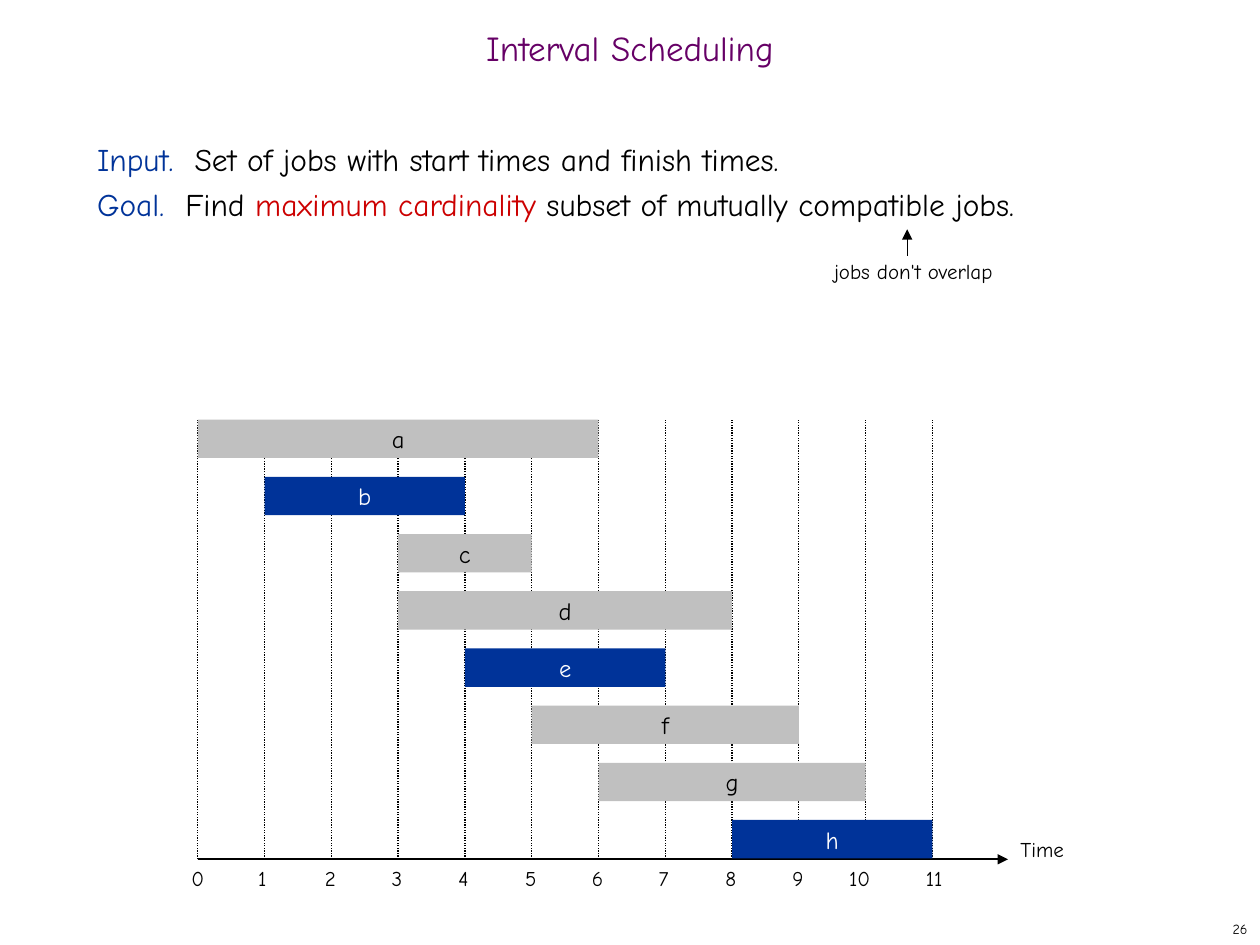
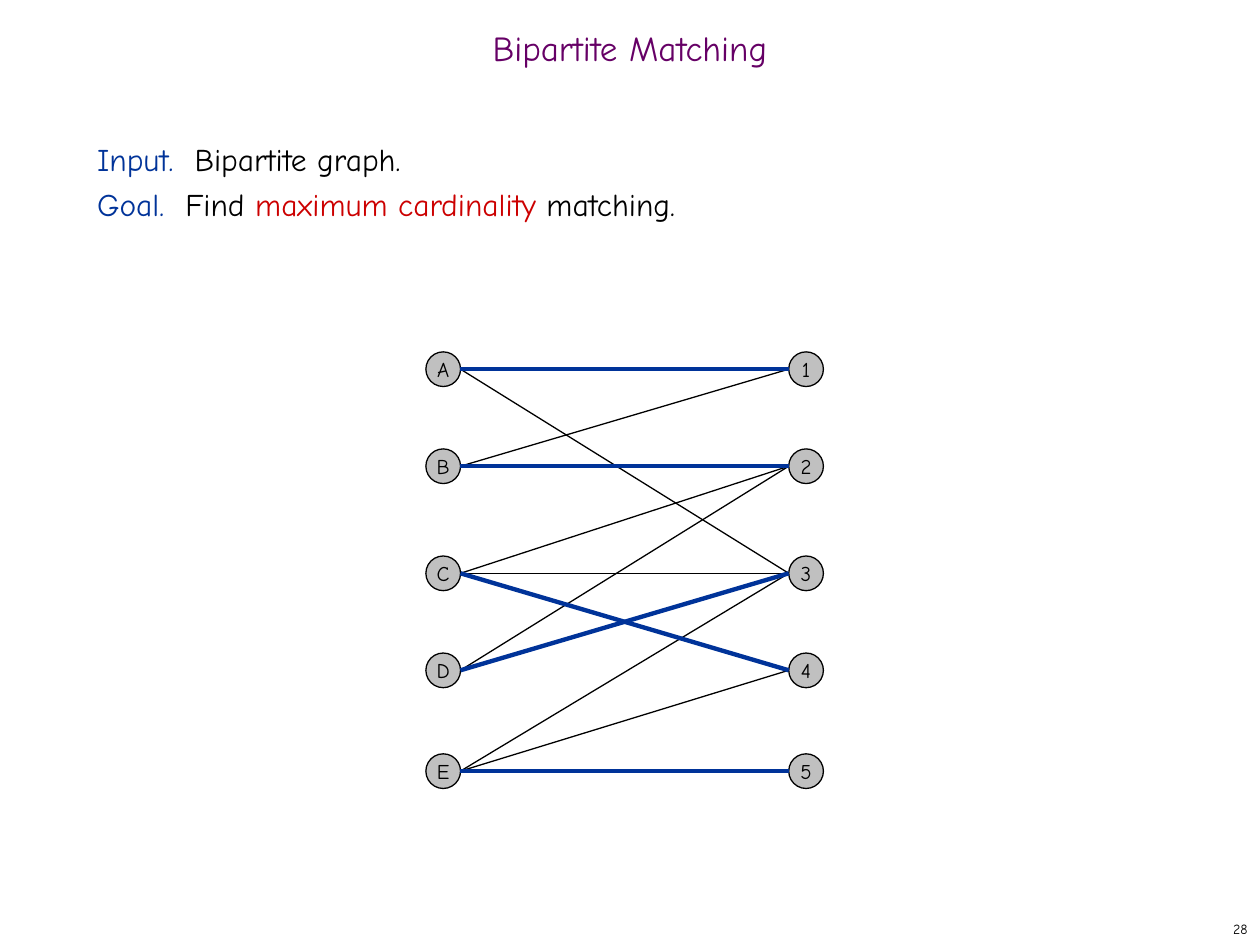
from pptx import Presentation
from pptx.dml.color import RGBColor
from pptx.enum.dml import MSO_LINE
from pptx.enum.shapes import MSO_CONNECTOR, MSO_SHAPE
from pptx.enum.text import MSO_ANCHOR, MSO_AUTO_SIZE, PP_ALIGN
from pptx.oxml.ns import qn
from pptx.util import Inches, Pt

LEFT, CENTER, RIGHT = PP_ALIGN.LEFT, PP_ALIGN.CENTER, PP_ALIGN.RIGHT
TOP, MIDDLE = MSO_ANCHOR.TOP, MSO_ANCHOR.MIDDLE
NO_FIT = MSO_AUTO_SIZE.NONE
RECT, OVAL = MSO_SHAPE.RECTANGLE, MSO_SHAPE.OVAL
STRAIGHT = MSO_CONNECTOR.STRAIGHT
DOTTED = MSO_LINE.ROUND_DOT

FONT = "Comic Neue"
COLORS = {
    "title": "660066",
    "blue": "003399",
    "red": "CC0000",
    "gray": "C0C0C0",
    "black": "000000",
    "white": "FFFFFF",
}
COLS, ROWS = 100, 75


def rgb(name):
    return RGBColor.from_string(COLORS[name])


def write(tf, text, size=12, color="black", align=LEFT, anchor=TOP,
          wrap=True, margins=(0.1, 0.05), before=0, spacing=None):
    tf.auto_size = NO_FIT
    tf.word_wrap = wrap
    tf.vertical_anchor = anchor
    tf.margin_left = tf.margin_right = Inches(margins[0])
    tf.margin_top = tf.margin_bottom = Inches(margins[1])
    paragraphs = [[(text, color)]] if isinstance(text, str) else text
    for i, runs in enumerate(paragraphs):
        p = tf.add_paragraph() if i else tf.paragraphs[0]
        p.alignment = align
        p.space_before = Pt(before)
        if spacing:
            p.line_spacing = spacing
        for words, run_color in runs:
            r = p.add_run()
            r.text = words
            r.font.name = FONT
            r.font.size = Pt(size)
            r.font.color.rgb = rgb(run_color)


class Deck:
    def __init__(self):
        self.prs = Presentation()
        self.prs.slide_width = Inches(10)
        self.prs.slide_height = Inches(7.5)
        self.s = None

    def x(self, cols):
        return round(self.prs.slide_width * cols / COLS)

    def y(self, rows):
        return round(self.prs.slide_height * rows / ROWS)

    def box(self, left, top, width, height):
        return self.x(left), self.y(top), self.x(width), self.y(height)

    def place(self, sp, *area):
        sp.left, sp.top, sp.width, sp.height = self.box(*area)

    def slide(self, title, body, number):
        self.s = self.prs.slides.add_slide(self.prs.slide_layouts[1])
        heading, content = self.s.placeholders
        self.place(heading, 0, 1.7, 100, 5)
        write(heading.text_frame, title, size=20, color="title",
              align=CENTER, anchor=MIDDLE, spacing=0.7)
        self.place(content, 6.7, 10, 85.8, 59.2)
        write(content.text_frame, body, size=18, spacing=Pt(26))
        for p in content.text_frame.paragraphs:
            pPr = p._p.get_or_add_pPr()
            pPr.set("marL", "0")
            pPr.set("indent", "0")
            pPr.append(pPr.makeelement(qn("a:buNone"), {}))
        self.text(str(number), 79.2, 72.5, 20.8, 2.5, size=8,
                  align=RIGHT, anchor=MIDDLE)

    def text(self, text, left, top, width, height, **fmt):
        sp = self.s.shapes.add_textbox(*self.box(left, top, width, height))
        write(sp.text_frame, text, **fmt)

    def shape(self, kind, text, left, top, width, height,
              fill="gray", outline=None, **fmt):
        sp = self.s.shapes.add_shape(kind, *self.box(left, top, width, height))
        sp.shadow.inherit = False
        sp.fill.solid()
        sp.fill.fore_color.rgb = rgb(fill)
        if outline:
            sp.line.color.rgb = rgb(outline)
            sp.line.width = Pt(0.75)
        else:
            sp.line.fill.background()
        write(sp.text_frame, text, align=CENTER, anchor=MIDDLE, wrap=False, **fmt)

    def line(self, x1, y1, x2, y2, color="black", width=0.75,
             dash=None, arrow=False):
        cx = self.s.shapes.add_connector(
            STRAIGHT, self.x(x1), self.y(y1), self.x(x2), self.y(y2))
        cx.line.color.rgb = rgb(color)
        cx.line.width = Pt(width)
        if dash:
            cx.line.dash_style = dash
        spPr = cx._element.spPr
        if arrow:
            ln = spPr.find(qn("a:ln"))
            ln.append(ln.makeelement(qn("a:tailEnd"), {"type": "triangle"}))
        spPr.append(spPr.makeelement(qn("a:effectLst"), {}))


def problem(given, rest):
    return [
        [("Input.  ", "blue"), (given, "black")],
        [("Goal.  ", "blue"), ("Find ", "black"),
         ("maximum cardinality", "red"), (rest, "black")],
    ]


def interval_scheduling(deck):
    deck.slide("Interval Scheduling",
               problem("Set of jobs with start times and finish times.",
                       " subset of mutually compatible jobs."), 26)
    deck.text("jobs don't overlap", 66.2, 20.5, 12.7, 2,
              wrap=False, margins=(0, 0), before=7.5)
    deck.line(72, 20.3, 72, 18.2, arrow=True)

    origin, hour, first_row, axis = 15.7, 5.3, 33.3, 68.2
    bar_height, bar_step = 3.05, 4.54
    jobs = {"a": (0, 6), "b": (1, 4), "c": (3, 5), "d": (3, 8),
            "e": (4, 7), "f": (5, 9), "g": (6, 10), "h": (8, 11)}
    chosen = "beh"
    label_shift = {10: 2.3}

    deck.line(origin, axis, 80, axis, width=1, arrow=True)
    deck.text("Time", 80, 65.9, 8.3, 3, before=7.5)
    for t in range(12):
        tick = origin + t * hour
        deck.line(tick, axis, tick, first_row, dash=DOTTED)
        deck.text(str(t), tick - label_shift.get(t, 1.5), axis, 4.6, 3, before=7.5)
    for i, (job, (start, finish)) in enumerate(jobs.items()):
        picked = job in chosen
        deck.shape(RECT, job, origin + start * hour, first_row + i * bar_step,
                   (finish - start) * hour, bar_height, size=14,
                   fill="blue" if picked else "gray",
                   color="white" if picked else "black")


def bipartite_matching(deck):
    deck.slide("Bipartite Matching",
               problem("Bipartite graph.", " matching."), 28)
    node, left, right = 2.75, 33.8, 62.6
    levels = [29.3, 37, 45.5, 53.2, 61.2]
    level_of = {}
    for column, names in ((left, "ABCDE"), (right, "12345")):
        for name, level in zip(names, levels):
            level_of[name] = level
            deck.shape(OVAL, name, column, level - node / 2, node, node,
                       outline="black")
    edges = "A3 B1 C2 C3 D2 E3 E4".split()
    matching = "A1 B2 C4 D3 E5".split()
    for pairs, color, width in ((edges, "black", 0.75), (matching, "blue", 2.5)):
        for u, v in pairs:
            deck.line(left + node, level_of[u], right, level_of[v],
                      color=color, width=width)


def main():
    deck = Deck()
    interval_scheduling(deck)
    bipartite_matching(deck)
    deck.prs.save("out.pptx")


if __name__ == "__main__":
    main()
